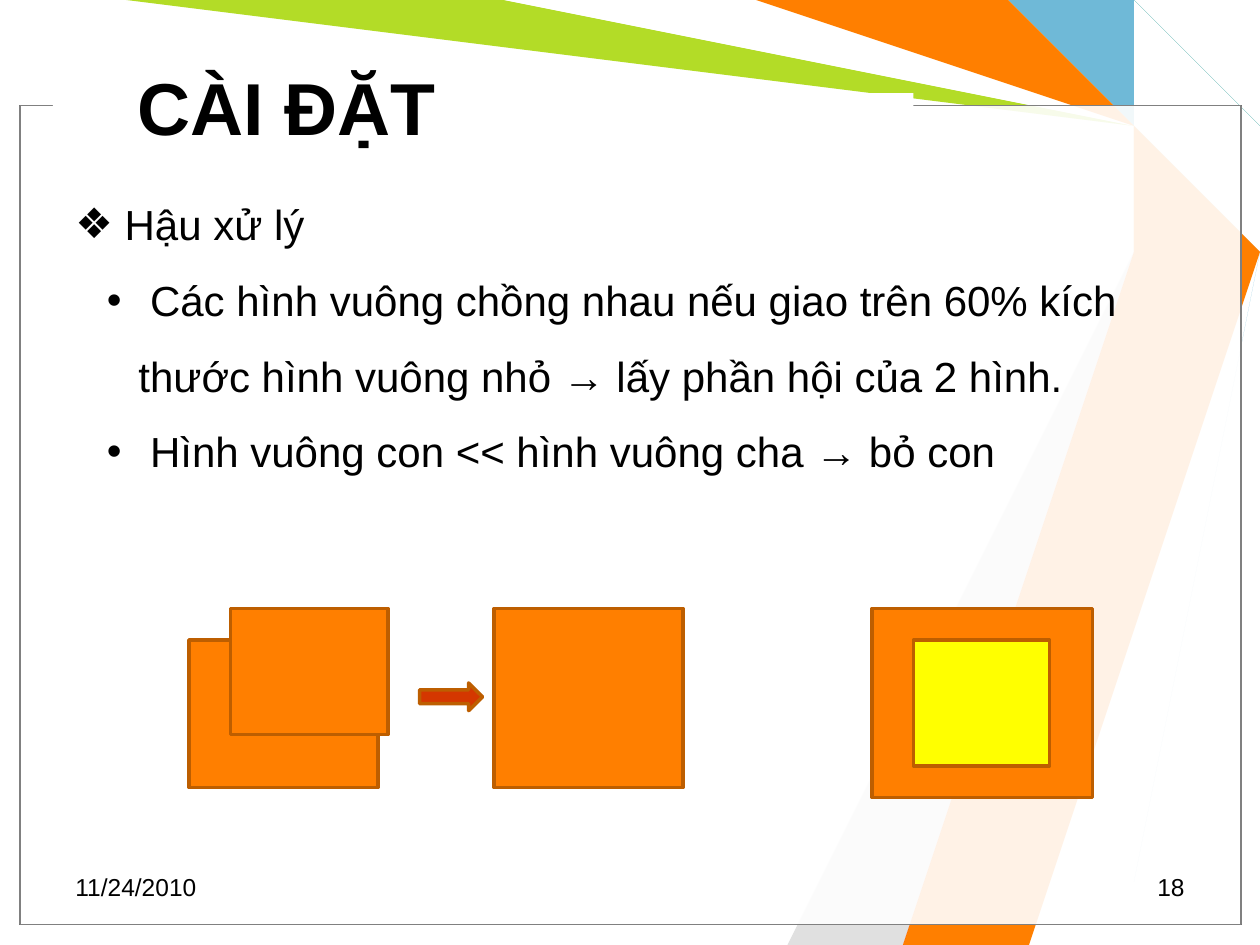
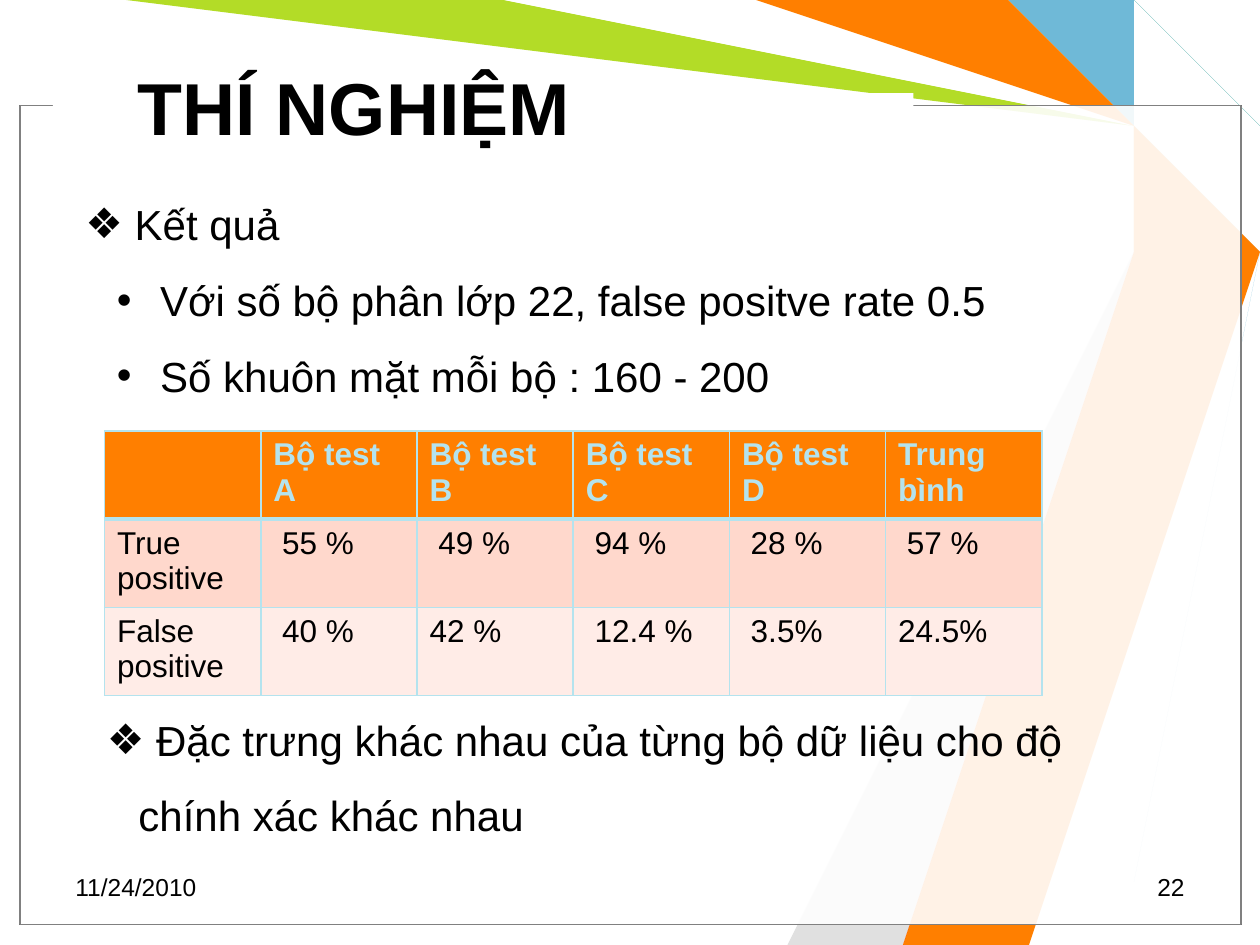
from lxml import etree
from pptx import Presentation
from pptx import util as u
from pptx.dml import color
from pptx.enum import shapes, text
from pptx.oxml import ns

FONT = "Arial"
BLACK, WHITE, GRAY = "000000", "FFFFFF", "808080"
ORANGE, DARK_ORANGE, RED = "FF7F00", "BD5E00", "D43700"
YELLOW, PALE_BLUE = "FFFF00", "B4E3EE"
ROW_FILLS = [ORANGE, "FFD8CC", "FFECE7"]

RIBBONS = [
    ("6FB9D7", [(8.92, 0), (9.29, 0.77), (9.58, 1.67), (9.11, 7.49), (8.56, 7.49),
                (9.5, 1.67), (9.17, 0.75), (8.38, 0)]),
    ("B3DC27", [(1.17, 0), (3.83, 0), (9.14, 0.78), (9.42, 1.69), (7.42, 7.5),
                (6.92, 7.5), (9.35, 1.73), (9.01, 0.91)]),
    ("E0E0E0", [(6.67, 7.5), (9.27, 1.81), (6, 7.5)]),
    (WHITE, [(3.75, 0), (9.1, 0.82), (9.32, 1.62), (6.75, 7.5), (7, 7.5),
             (9.41, 1.58), (9.17, 0.75), (6, 0)]),
    (PALE_BLUE, [(9.25, 0), (9.17, 0.17), (9.78, 1.2), (10, 1.25), (10, 1),
                 (9.25, 0.17), (9.32, 0)]),
    ("189180", [(10, 0.83), (9.42, 0.25), (10, 0.67)]),
    (ORANGE, [(6.08, 0), (7.92, 0), (9.3, 0.7), (9.66, 1.69), (8.33, 7.5),
              (7.33, 7.5), (9.42, 1.58), (9.17, 0.75)]),
    ("F93D17", [(7.32, 7.5), (9.32, 1.83), (7.49, 7.5)]),
]

RESULTS = [
    ["", "Bộ test A", "Bộ test B", "Bộ test C", "Bộ test D", "Trung bình"],
    ["True positive", " 55 %", " 49 %", " 94 %", " 28 %", " 57 %"],
    ["False positive", " 40 %", "42 %", " 12.4 %", " 3.5%", "24.5%"],
]


def rgb(value):
    return color.RGBColor.from_string(value)


def inches(*lengths):
    return [u.Inches(length) for length in lengths]


def paint(shape, fill, line=None, line_width=0.75):
    shape.shadow.inherit = False
    shape.fill.solid()
    shape.fill.fore_color.rgb = rgb(fill)
    if line:
        shape.line.color.rgb = rgb(line)
        shape.line.width = u.Pt(line_width)
    else:
        shape.line.fill.background()


def format_runs(paragraph, size, font_color=BLACK, bold=False):
    for run in paragraph.runs:
        run.font.name = FONT
        run.font.size = u.Pt(size)
        run.font.bold = bold
        run.font.color.rgb = rgb(font_color)


def add_ribbon(slide, fill, points):
    builder = slide.shapes.build_freeform(*points[0], scale=u.Inches(1))
    builder.add_line_segments(points[1:], close=True)
    paint(builder.convert_to_shape(), fill)


def add_box(slide, place, fill, line=None, line_width=2, kind=shapes.MSO_SHAPE.RECTANGLE):
    shape = slide.shapes.add_shape(kind, *inches(*place))
    paint(shape, fill, line, line_width)
    return shape


def add_panel(slide, line):
    panel = add_box(slide, (0.16, 0.84, 9.69, 6.5), WHITE, line, 0.75)
    fill_color = panel.fill._xPr.find(".//" + ns.qn("a:srgbClr"))
    etree.SubElement(fill_color, ns.qn("a:alpha"), val="69000")


def add_text(slide, place, wording, size, bold=False, align=text.PP_ALIGN.LEFT,
             anchor=text.MSO_ANCHOR.TOP):
    frame = slide.shapes.add_textbox(*inches(*place)).text_frame
    frame.word_wrap = True
    frame.vertical_anchor = anchor
    frame.text = wording
    frame.paragraphs[0].alignment = align
    format_runs(frame.paragraphs[0], size, bold=bold)


def add_bullet(paragraph, character, margin):
    properties = paragraph._p.get_or_add_pPr()
    properties.set("marL", str(u.Inches(margin)))
    properties.set("indent", str(-u.Inches(0.25)))
    etree.SubElement(properties, ns.qn("a:buFont"), typeface=FONT)
    etree.SubElement(properties, ns.qn("a:buChar"), char=character)


def add_bullets(slide, place, heading, points=()):
    frame = slide.shapes.add_textbox(*inches(*place)).text_frame
    frame.word_wrap = True
    for level, wording in [(0, heading)] + [(1, point) for point in points]:
        paragraph = frame.add_paragraph() if level else frame.paragraphs[0]
        paragraph.text = " " + wording
        paragraph.level = level
        paragraph.line_spacing = 1.5
        add_bullet(paragraph, "❖•"[level], 0.25 * (level + 1))
        format_runs(paragraph, 24)


def add_border(cell, side, width):
    line = etree.SubElement(cell._tc.get_or_add_tcPr(), ns.qn("a:ln" + side),
                            w=str(u.Pt(width)))
    fill = etree.SubElement(line, ns.qn("a:solidFill"))
    etree.SubElement(fill, ns.qn("a:srgbClr"), val=PALE_BLUE)


def add_results(slide, left, top, column_width, row_height):
    row_count, column_count = len(RESULTS), len(RESULTS[0])
    size = (column_width * column_count, row_height * row_count)
    table = slide.shapes.add_table(row_count, column_count, *inches(left, top, *size)).table
    table.horz_banding = False
    for column in table.columns:
        column.width = u.Inches(column_width)
    for row_index, row in enumerate(RESULTS):
        table.rows[row_index].height = u.Inches(row_height)
        header = row_index == 0
        widths = {"L": 1, "R": 1, "T": 3 if row_index == 1 else 1, "B": 3 if header else 1}
        for column_index, wording in enumerate(row):
            cell = table.cell(row_index, column_index)
            cell.text = wording
            for side, width in widths.items():
                add_border(cell, side, width)
            cell.fill.solid()
            cell.fill.fore_color.rgb = rgb(ROW_FILLS[row_index])
            format_runs(cell.text_frame.paragraphs[0], 18,
                        PALE_BLUE if header else BLACK, header)


def add_slide(presentation, title, number):
    slide = presentation.slides.add_slide(presentation.slide_layouts[6])
    for fill, points in RIBBONS:
        add_ribbon(slide, fill, points)
    for line in (BLACK, GRAY):
        add_panel(slide, line)
    add_box(slide, (0.42, 0.74, 6.83, 0.17), WHITE)
    add_text(slide, (0.99, 0.22, 6.89, 1.25), title, 42, bold=True,
             anchor=text.MSO_ANCHOR.MIDDLE)
    add_text(slide, (0.5, 6.87, 2.33, 0.33), "11/24/2010", 14)
    add_text(slide, (7.17, 6.87, 2.33, 0.33), number, 14, align=text.PP_ALIGN.RIGHT)
    return slide


def add_implementation_slide(presentation):
    slide = add_slide(presentation, "CÀI ĐẶT", "18")
    add_bullets(slide, (0.5, 1.33, 8.58, 3.53), "Hậu xử lý", [
        "Các hình vuông chồng nhau nếu giao trên 60% kích thước hình vuông nhỏ "
        "→ lấy phần hội của 2 hình.",
        "Hình vuông con << hình vuông cha → bỏ con",
    ])
    overlapping = [(1.5, 5.08, 1.5, 1.17), (1.83, 4.83, 1.25, 1)]
    merged = (3.92, 4.83, 1.5, 1.42)
    parent, child = (6.92, 4.83, 1.75, 1.5), (7.25, 5.08, 1.08, 1)
    for place in [*overlapping, merged, parent]:
        add_box(slide, place, ORANGE, DARK_ORANGE)
    add_box(slide, child, YELLOW, DARK_ORANGE)
    add_box(slide, (3.33, 5.42, 0.5, 0.22), RED, DARK_ORANGE,
            kind=shapes.MSO_SHAPE.RIGHT_ARROW)


def add_experiment_slide(presentation):
    slide = add_slide(presentation, "THÍ NGHIỆM", "22")
    add_bullets(slide, (0.58, 1.33, 8.58, 1.92), "Kết quả", [
        "Với số bộ phân lớp 22, false positve rate 0.5",
        "Số khuôn mặt mỗi bộ : 160 - 200",
    ])
    add_results(slide, 0.83, 3.42, 1.24, 0.7)
    add_bullets(slide, (0.75, 5.42, 8.58, 1.31),
                "Đặc trưng khác nhau của từng bộ dữ liệu cho độ chính xác khác nhau")


def main():
    presentation = Presentation()
    presentation.slide_width, presentation.slide_height = inches(10, 7.5)
    add_implementation_slide(presentation)
    add_experiment_slide(presentation)
    presentation.save("out.pptx")


if __name__ == "__main__":
    main()
